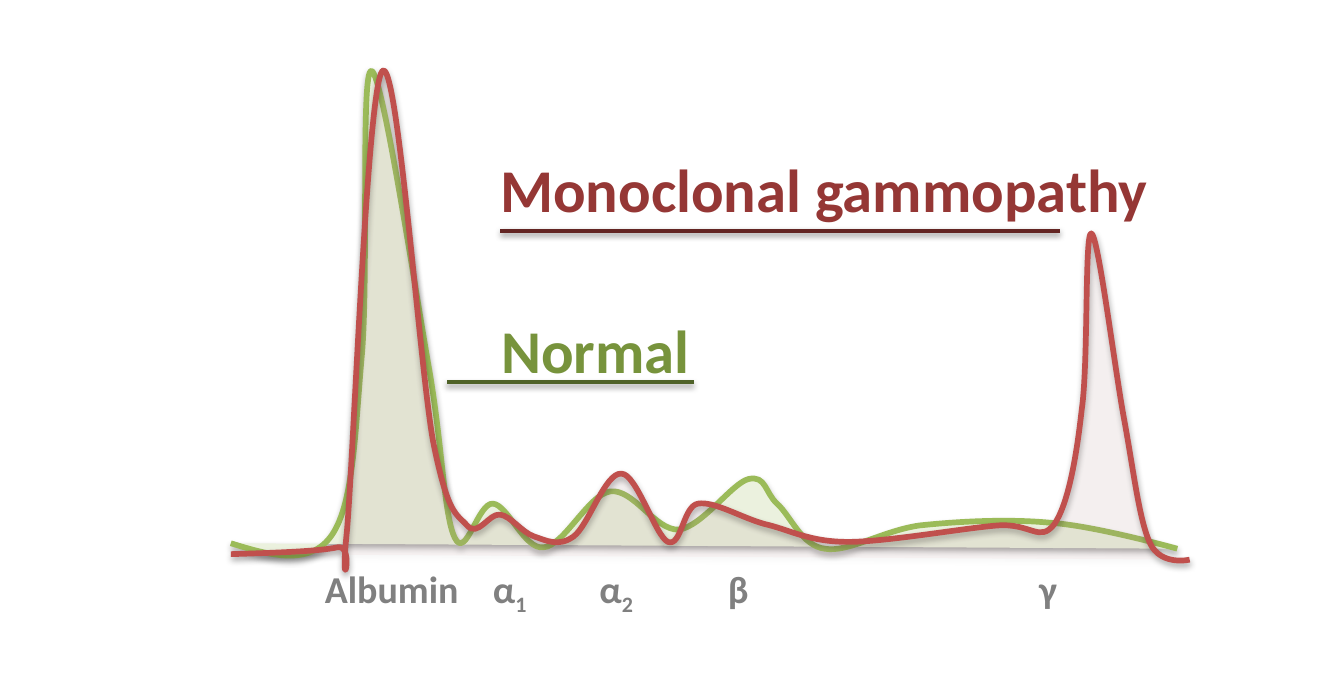
from collections import namedtuple
from dataclasses import dataclass

from lxml.etree import SubElement
from pptx import Presentation
from pptx.dml.color import RGBColor
from pptx.enum.shapes import MSO_CONNECTOR as Connector, MSO_SHAPE as Shape
from pptx.enum.text import MSO_ANCHOR as Anchor, PP_ALIGN as Align
from pptx.oxml.ns import qn
from pptx.util import Pt

PX = 9144  # EMU per px, 100 px to the inch

Box = namedtuple("Box", "left top width height")


@dataclass(frozen=True)
class Theme:
    font: str = "Calibri"
    heading_size: int = 32
    label_size: int = 20
    curve_width: int = 3
    rule_width: int = 2
    white: str = "FFFFFF"
    label: str = "808080"
    normal_fill: str = "EBF1DE"
    normal_line: str = "9BBB59"
    normal_text: str = "77933C"
    normal_rule: str = "4F6228"
    gammopathy_fill: str = "E6B9B8"
    gammopathy_line: str = "C0504D"
    gammopathy_text: str = "953735"
    gammopathy_rule: str = "632523"


THEME = Theme()

# Each curve: a start point, then two control points and an end point per segment
NORMAL_CURVE = ((0, 347), (
    (29, 356, 58, 364, 74, 341), (90, 318, 91, 265, 96, 209),
    (101, 152, 95, -1, 103, 1), (111, 2, 135, 161, 145, 218),
    (155, 275, 156, 327, 164, 343), (172, 360, 181, 317, 192, 318),
    (203, 319, 215, 352, 229, 350), (244, 349, 262, 311, 278, 309),
    (295, 307, 311, 338, 328, 337), (345, 335, 367, 303, 379, 300),
    (392, 297, 391, 310, 400, 318), (410, 327, 418, 349, 435, 351),
    (452, 354, 477, 338, 504, 334), (532, 331, 569, 329, 600, 332),
    (632, 334, 693, 351, 693, 351)))
GAMMOPATHY_CURVE = ((0, 355), (
    (32, 354, 64, 353, 78, 350), (92, 347, 79, 396, 85, 338),
    (90, 280, 100, 12, 111, 1), (122, -10, 138, 216, 148, 272),
    (159, 327, 165, 325, 173, 334), (181, 343, 189, 325, 197, 326),
    (205, 327, 213, 339, 222, 342), (231, 345, 240, 350, 251, 342),
    (262, 334, 274, 295, 286, 296), (297, 296, 311, 342, 320, 346),
    (330, 350, 331, 320, 342, 318), (354, 316, 373, 328, 391, 333),
    (409, 337, 423, 346, 452, 346), (480, 346, 536, 336, 561, 334),
    (586, 332, 592, 347, 603, 333), (613, 318, 619, 285, 623, 249),
    (628, 214, 625, 119, 630, 120), (635, 121, 647, 218, 654, 256),
    (661, 294, 665, 330, 673, 347), (681, 364, 702, 359, 702, 359)))

# Text, whether it is a subscript
FRACTIONS = (("Albumin\tα", False), ("1", True), ("\tα", False), ("2", True),
             ("\tβ\tγ", False))
FRACTION_TABS = (123, 201, 295, 523)


def rgb(color):
    return RGBColor.from_string(color)


def emu(box):
    return [length * PX for length in box]


def set_line(shape, color, width):
    shape.line.color.rgb = rgb(color)
    shape.line.width = Pt(width)


def add_shadow(shape, distance, opacity):
    """Cast a soft black shadow straight down."""
    effects = SubElement(shape._element.spPr, qn("a:effectLst"))
    shadow = SubElement(effects, qn("a:outerShdw"), blurRad=str(Pt(3.1)),
                        dist=str(Pt(distance)), dir="5400000", rotWithShape="0")
    black = SubElement(shadow, qn("a:srgbClr"), val="000000")
    SubElement(black, qn("a:alpha"), val=str(opacity * 1000))


def bend_outline(shape, box, segments):
    """Turn the straight outline into Bezier segments measured from the box."""
    shape.left, shape.top, shape.width, shape.height = emu(box)
    outline = next(shape._element.iter(qn("a:path")))
    outline.set("w", str(shape.width))
    outline.set("h", str(shape.height))
    start, *lines = list(outline)
    for line in lines:
        outline.remove(line)
    point = start[0]
    point.set("x", str(segments[0][0] * PX))
    point.set("y", str(segments[0][1] * PX))
    for segment in segments[1:]:
        bezier = SubElement(outline, qn("a:cubicBezTo"))
        for x, y in zip(segment[::2], segment[1::2]):
            SubElement(bezier, qn("a:pt"), x=str(x * PX), y=str(y * PX))


def add_curve(slide, box, curve, fill, line, opacity=100):
    start, segments = curve
    builder = slide.shapes.build_freeform(*start, scale=PX)
    builder.add_line_segments([segment[-2:] for segment in segments], close=False)
    shape = builder.convert_to_shape(box.left * PX, box.top * PX)
    bend_outline(shape, box, (start, *segments))
    shape.fill.solid()
    shape.fill.fore_color.rgb = rgb(fill)
    if opacity < 100:
        color = shape._element.spPr.find(qn("a:solidFill"))[0]
        SubElement(color, qn("a:alpha"), val=str(opacity * 1000))
    set_line(shape, line, THEME.curve_width)
    add_shadow(shape, 1.8, 35)


def format_run(run, size, color):
    run.font.name = THEME.font
    run.font.size = Pt(size)
    run.font.bold = True
    run.font.color.rgb = rgb(color)


def add_fraction_labels(slide, box):
    text_frame = slide.shapes.add_textbox(*emu(box)).text_frame
    text_frame.word_wrap = True
    paragraph = text_frame.paragraphs[0]
    tabs = SubElement(paragraph._p.get_or_add_pPr(), qn("a:tabLst"))
    for position in FRACTION_TABS:
        SubElement(tabs, qn("a:tab"), pos=str(position * PX), algn="l")
    for text, subscript in FRACTIONS:
        run = paragraph.add_run()
        run.text = text
        format_run(run, THEME.label_size, THEME.label)
        if subscript:
            run.font._element.set("baseline", "-25000")


def add_heading(shape, text, color):
    text_frame = shape.text_frame
    text_frame.word_wrap = False
    text_frame.vertical_anchor = Anchor.TOP
    text_frame.text = text
    paragraph = text_frame.paragraphs[0]
    paragraph.alignment = Align.CENTER
    format_run(paragraph.runs[0], THEME.heading_size, color)


def add_normal_heading(slide, box):
    shape = slide.shapes.add_shape(Shape.RECTANGLE, *emu(box))
    shape.shadow.inherit = False
    shape.fill.solid()
    shape.fill.fore_color.rgb = rgb(THEME.white)
    set_line(shape, THEME.white, THEME.rule_width)
    add_heading(shape, "Normal", THEME.normal_text)


def add_gammopathy_heading(slide, box):
    shape = slide.shapes.add_textbox(*emu(box))
    add_heading(shape, "Monoclonal gammopathy", THEME.gammopathy_text)


def add_rule(slide, box, color):
    left, top, width, height = emu(box)
    rule = slide.shapes.add_connector(Connector.STRAIGHT, left + width, top,
                                      left, top + height)
    set_line(rule, color, THEME.rule_width)
    add_shadow(rule, 1.6, 38)


def main():
    presentation = Presentation()
    presentation.slide_width = 984 * PX
    presentation.slide_height = 512 * PX
    slide = presentation.slides.add_slide(presentation.slide_layouts[6])
    add_curve(slide, Box(169, 51, 693, 356), NORMAL_CURVE, THEME.normal_fill,
              THEME.normal_line)
    add_fraction_labels(slide, Box(228, 409, 581, 44))
    add_curve(slide, Box(169, 51, 702, 366), GAMMOPATHY_CURVE,
              THEME.gammopathy_fill, THEME.gammopathy_line, opacity=10)
    add_normal_heading(slide, Box(356, 224, 160, 64))
    add_gammopathy_heading(slide, Box(353, 106, 501, 64))
    add_rule(slide, Box(327, 280, 181, 0), THEME.normal_rule)
    add_rule(slide, Box(366, 169, 410, 0), THEME.gammopathy_rule)
    presentation.save("out.pptx")


if __name__ == "__main__":
    main()
